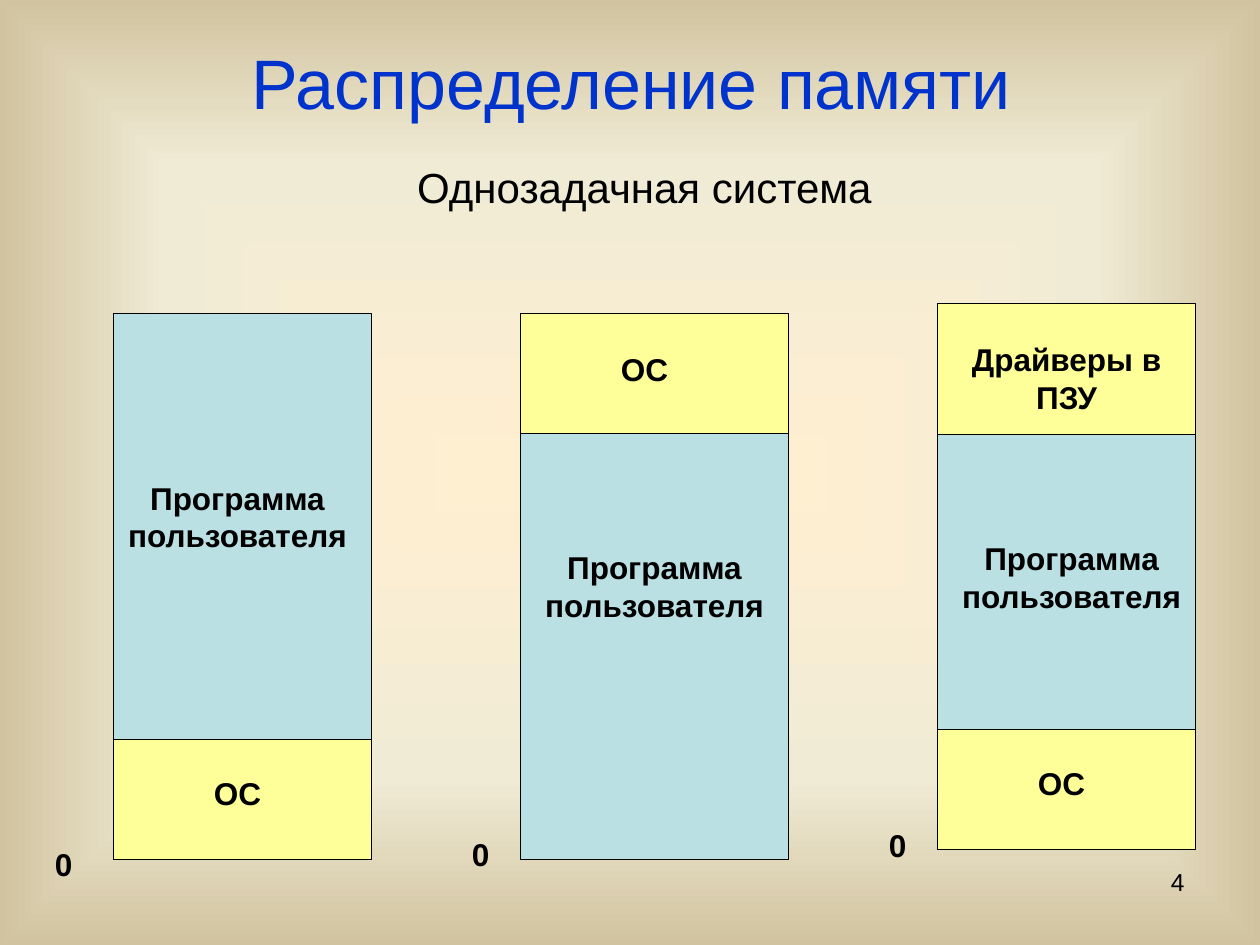
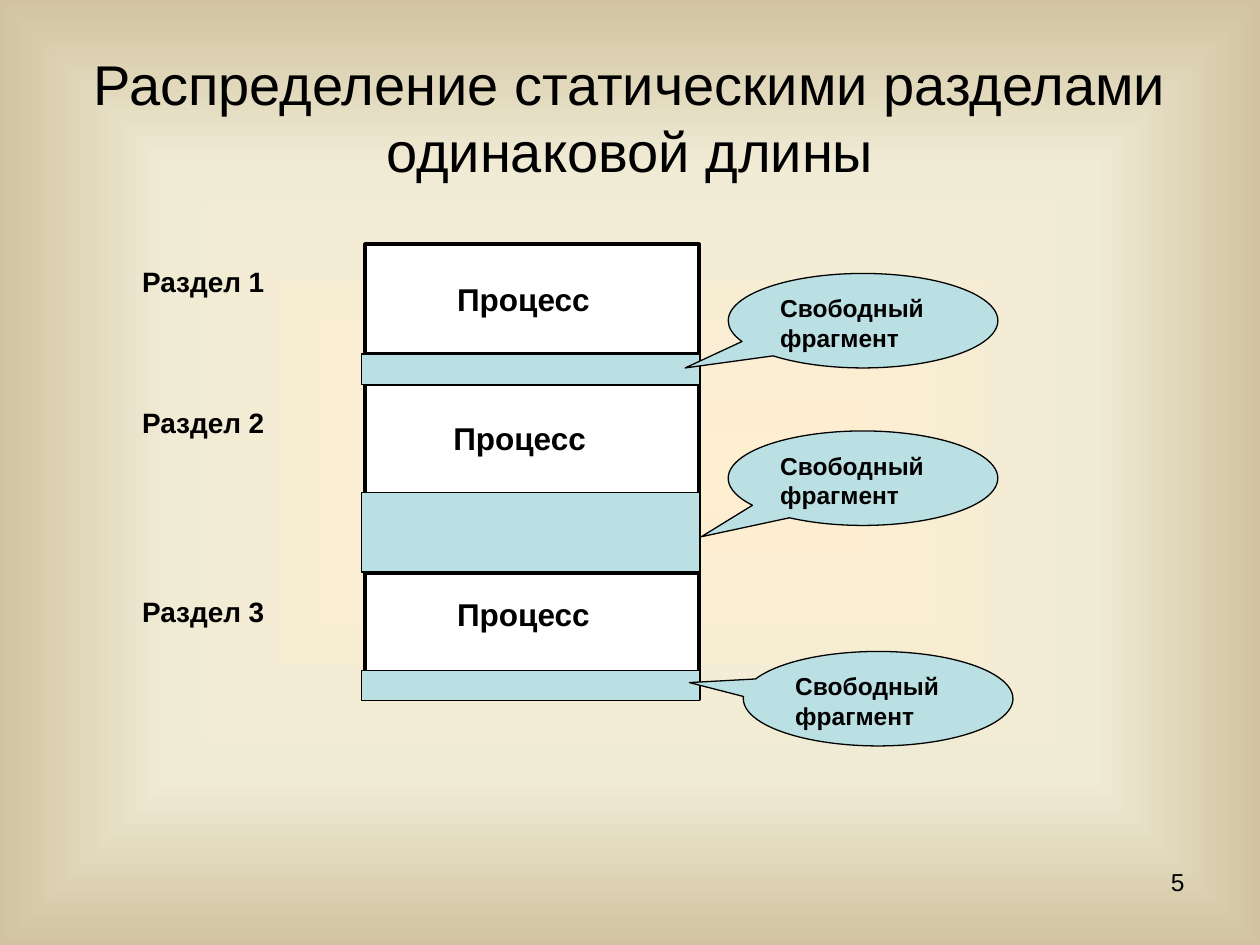
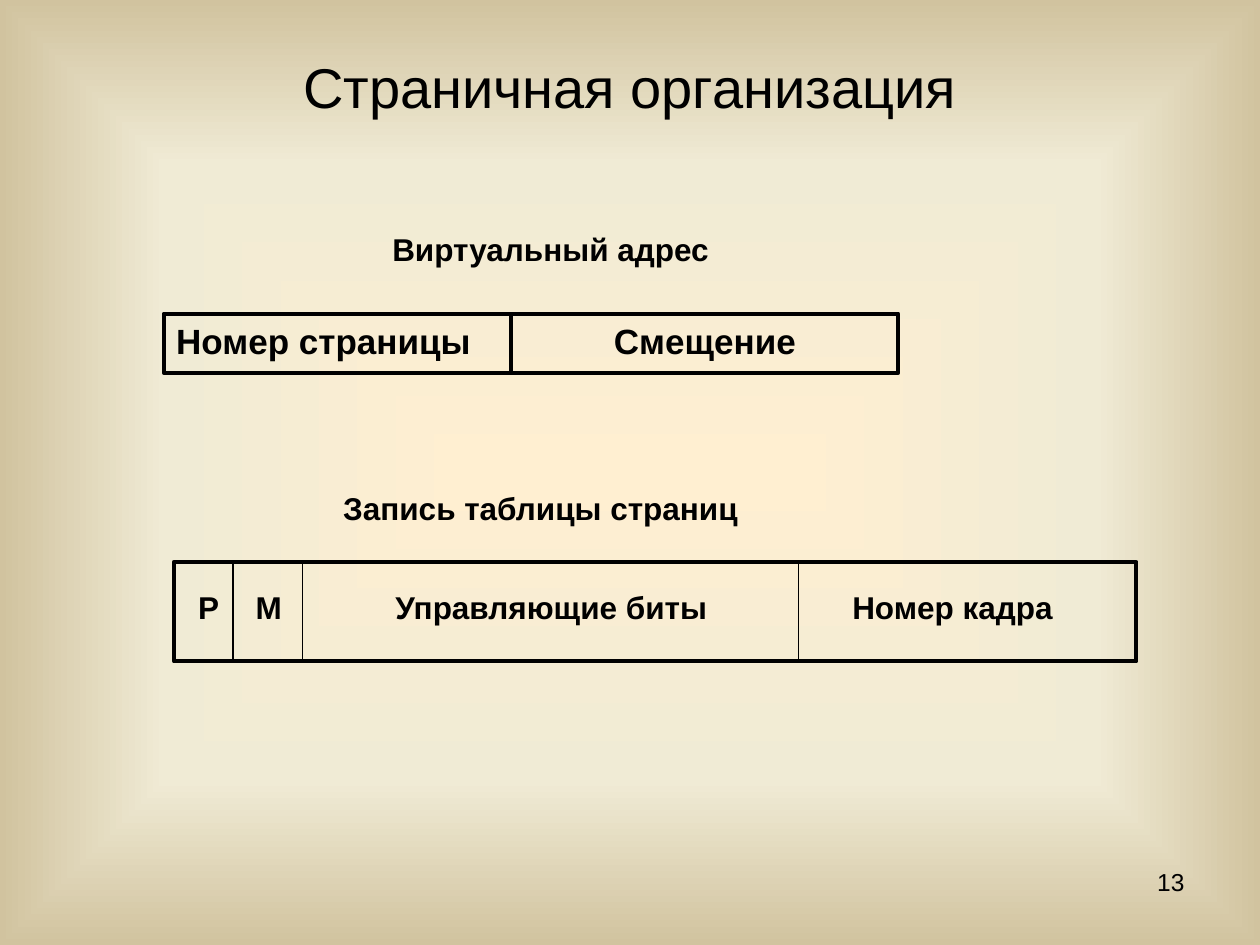
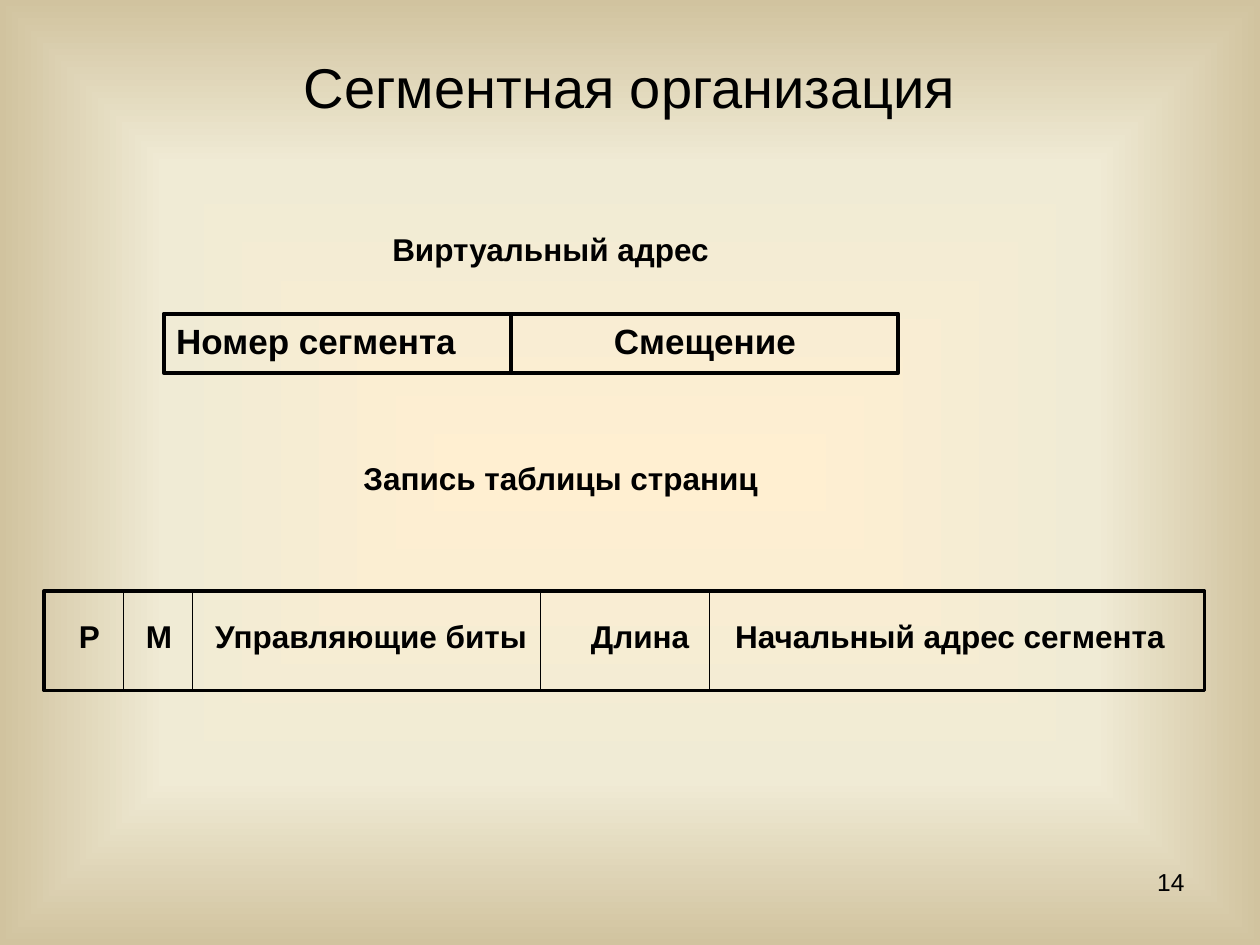
from lxml import etree
from pptx import Presentation
from pptx import util as u
from pptx.dml.color import RGBColor
from pptx.enum import shapes, text
from pptx.oxml import ns

HUES = {
    "ink": "000000", "title": "0033CC", "user": "BBE0E3", "system": "FFFF99",
    "paper": "FFFFFF", "core": "FFEFD1", "mid": "F0EBD5", "edge": "D1C39F",
}
FONT = "Arial"
WIDE, HIGH = u.Inches(10), u.Inches(7.5)
COLS, ROWS = 100, 75
LEFT, MID, RIGHT = text.PP_ALIGN.LEFT, text.PP_ALIGN.CENTER, text.PP_ALIGN.RIGHT
RECT = shapes.MSO_SHAPE.RECTANGLE
BUBBLE = shapes.MSO_SHAPE.OVAL_CALLOUT
USER, CORE = "Программа пользователя", "ОС"


def hue(name):
    return RGBColor.from_string(HUES[name])


def place(box):
    x, y, w, h = box
    return (int(WIDE * x / COLS), int(HIGH * y / ROWS),
            int(WIDE * w / COLS), int(HIGH * h / ROWS))


def write(shape, words, size=18, bold=True, align=MID, color="ink",
          anchor=text.MSO_ANCHOR.TOP):
    frame = shape.text_frame
    frame.text = words
    frame.word_wrap = True
    frame.auto_size = text.MSO_AUTO_SIZE.NONE
    frame.vertical_anchor = anchor
    para = frame.paragraphs[0]
    para.alignment = align
    para.space_before = u.Pt(0)
    for run in para.runs:
        run.font.name = FONT
        run.font.size = u.Pt(size)
        run.font.bold = bold
        run.font.color.rgb = hue(color)


def label(slide, box, words, **style):
    write(slide.shapes.add_textbox(*place(box)), words, **style)


def block(slide, box, fill=None, line=0.75, kind=RECT):
    shape = slide.shapes.add_shape(kind, *place(box))
    shape.shadow.inherit = False
    if fill:
        shape.fill.solid()
        shape.fill.fore_color.rgb = hue(fill)
    else:
        shape.fill.background()
    if line:
        shape.line.color.rgb = hue("ink")
        shape.line.width = u.Pt(line)
    else:
        shape.line.fill.background()
    return shape


def rule(slide, x, y, w, h, line=0.75):
    left, top, wide, high = place((x, y, w, h))
    link = slide.shapes.add_connector(
        shapes.MSO_CONNECTOR.STRAIGHT, left, top, left + wide, top + high)
    link.line.color.rgb = hue("ink")
    link.line.width = u.Pt(line)
    etree.SubElement(link.element.spPr, ns.qn("a:effectLst"))


def backdrop(deck):
    fill = deck.slide_master.background.fill
    fill.gradient()
    grad = deck.slide_master.element.find(".//" + ns.qn("a:gradFill"))
    for child in list(grad):
        grad.remove(child)
    stops = etree.SubElement(grad, ns.qn("a:gsLst"))
    for pos, name in ((0, "core"), (65, "mid"), (100, "edge")):
        stop = etree.SubElement(stops, ns.qn("a:gs"), pos=str(pos * 1000))
        etree.SubElement(stop, ns.qn("a:srgbClr"), val=HUES[name])
    way = etree.SubElement(grad, ns.qn("a:path"), path="shape")
    sides = {side: "50000" for side in "ltrb"}
    etree.SubElement(way, ns.qn("a:fillToRect"), **sides)


def start(deck, words, number, box=(5, 3, 90, 7.7), size=32, color="ink"):
    slide = deck.slides.add_slide(deck.slide_layouts[5])
    title = slide.shapes.title
    title.left, title.top, title.width, title.height = place(box)
    write(title, words, size=size, bold=False, color=color,
          anchor=text.MSO_ANCHOR.MIDDLE)
    label(slide, (71.7, 68.3, 23.3, 5.2), str(number), size=14, bold=False,
          align=RIGHT)
    return slide


def stack(slide, box, parts, zero):
    x, y, w, h = box
    top = y
    for words, fill, share, dx, dy, wide in parts:
        high = h * share
        block(slide, (x, top, w, high), fill)
        label(slide, (x + dx, top + dy, wide, 4), words)
        top += high
    dx, dy = zero
    label(slide, (x + dx, y + h + dy, 4.7, 4), "0")


def memory(deck):
    slide = start(deck, "Распределение памяти", 4, (5.1, 2.1, 90, 8.7), 40, "title")
    label(slide, (17.7, 12.3, 66.9, 5), "Однозадачная система", size=24, bold=False)
    stack(slide, (9, 24.9, 20.5, 43.3), [
        (USER, "user", 0.78, 0, 12.6, 19.7),
        (CORE, "system", 0.22, 1.6, 2.3, 16.5)], (-6.3, -1.6))
    stack(slide, (41.3, 24.9, 21.3, 43.3), [
        (CORE, "system", 0.22, 1.6, 2.4, 16.5),
        (USER, "user", 0.78, 0.8, 8.6, 19.7)], (-5.5, -2.4))
    stack(slide, (74.4, 24.1, 20.5, 43.3), [
        ("Драйверы в ПЗУ", "system", 0.24, 0.8, 2.4, 18.9),
        (USER, "user", 0.54, 0.8, 7.8, 19.7),
        (CORE, "system", 0.22, 1.6, 2.3, 16.5)], (-5.5, -2.3))


def sections(slide, box):
    x, y, w, h = box
    block(slide, box, "paper", 2.25)
    for dy, line in ((11.1, 1.5), (26.1, 2.25), (8.6, 0.75), (19.8, 0.75)):
        rule(slide, x, y + dy, w - 0.2, 0, line)
    rows = [
        (1.1, 6.3, 2.3, 8.7, 2.4),
        (12.3, 6, 13.4, 19.7, 6.3),
        (27.3, 6.3, 27.3, 33.8, 2.4),
    ]
    for num, (name, dx, task, free, high) in enumerate(rows, 1):
        label(slide, (x - 18.7, y + name, 16.3, 5), f"Раздел {num}", size=16,
              align=LEFT)
        cell = block(slide, (x + dx, y + task, 15, 3.8), "paper", 0)
        write(cell, "Процесс", align=LEFT)
        block(slide, (x - 0.3, y + free, w + 0.3, high), "user")


def bubbles(slide, box):
    x, y, w, h = box
    spots = [(0, 0, -0.66, 0.5), (0, 12.5, -0.6, 0.62), (1.2, 30, -0.7, -0.17)]
    for dx, dy, *tip in spots:
        note = block(slide, (x + dx, y + dy, w, h), "user", kind=BUBBLE)
        for i, value in enumerate(tip):
            note.adjustments[i] = value
        write(note, "Свободный фрагмент", size=14, align=LEFT)


def static(deck):
    slide = start(deck, "Распределение статическими разделами одинаковой длины",
                  5, (5, 3, 90, 12.5))
    sections(slide, (29, 19.4, 26.5, 36.1))
    bubbles(slide, (57.8, 21.7, 21.4, 7.5))


def address(slide, box, name):
    x, y, w, h = box
    label(slide, (x + 3.9, y - 7.1, 53.6, 4), "Виртуальный адрес")
    split = 27.6
    write(block(slide, (x, y, split, h), line=2.25), name, size=20, align=LEFT)
    write(block(slide, (x + split, y, w - split, h), line=2.25), "Смещение", size=20)


def record(slide, box, head, cuts, cells):
    x, y, w, h = box
    dx, dy = head
    label(slide, (x + dx, y + dy, 48.8, 4), "Запись таблицы страниц")
    block(slide, box, line=2.25)
    for cut in cuts:
        rule(slide, x + cut, y, 0, h)
    for words, left, wide, align in cells:
        label(slide, (x + left, y + 1.6, wide, 4), words, align=align)


def entry(deck, words, number, name, *parts):
    slide = start(deck, words, number)
    address(slide, (13, 24.9, 58.3, 4.7), name)
    record(slide, *parts)


def main():
    deck = Presentation()
    deck.slide_width, deck.slide_height = WIDE, HIGH
    backdrop(deck)
    memory(deck)
    static(deck)
    entry(deck, "Страничная организация", 13, "Номер страницы",
          (13.8, 44.6, 76.4, 7.9), (4.7, -6.3), (4.7, 10.2, 49.6), [
              ("Р", 0, 5.5, MID), ("М", 5.5, 5.5, LEFT),
              ("Управляющие биты", 12.6, 34.7, MID),
              ("Номер кадра", 48.8, 26, MID)])
    entry(deck, "Сегментная организация", 14, "Номер сегмента",
          (3.5, 46.9, 92.1, 7.9), (16.6, -11), (6.3, 11.8, 39.4, 52.8), [
              ("Р", 1.6, 4, MID), ("М", 7.1, 5.5, LEFT),
              ("Управляющие биты", 12.6, 34.7, LEFT),
              ("Длина", 40.2, 14.2, MID),
              ("Начальный адрес сегмента", 53.6, 36.6, MID)])
    deck.save("out.pptx")


if __name__ == "__main__":
    main()
